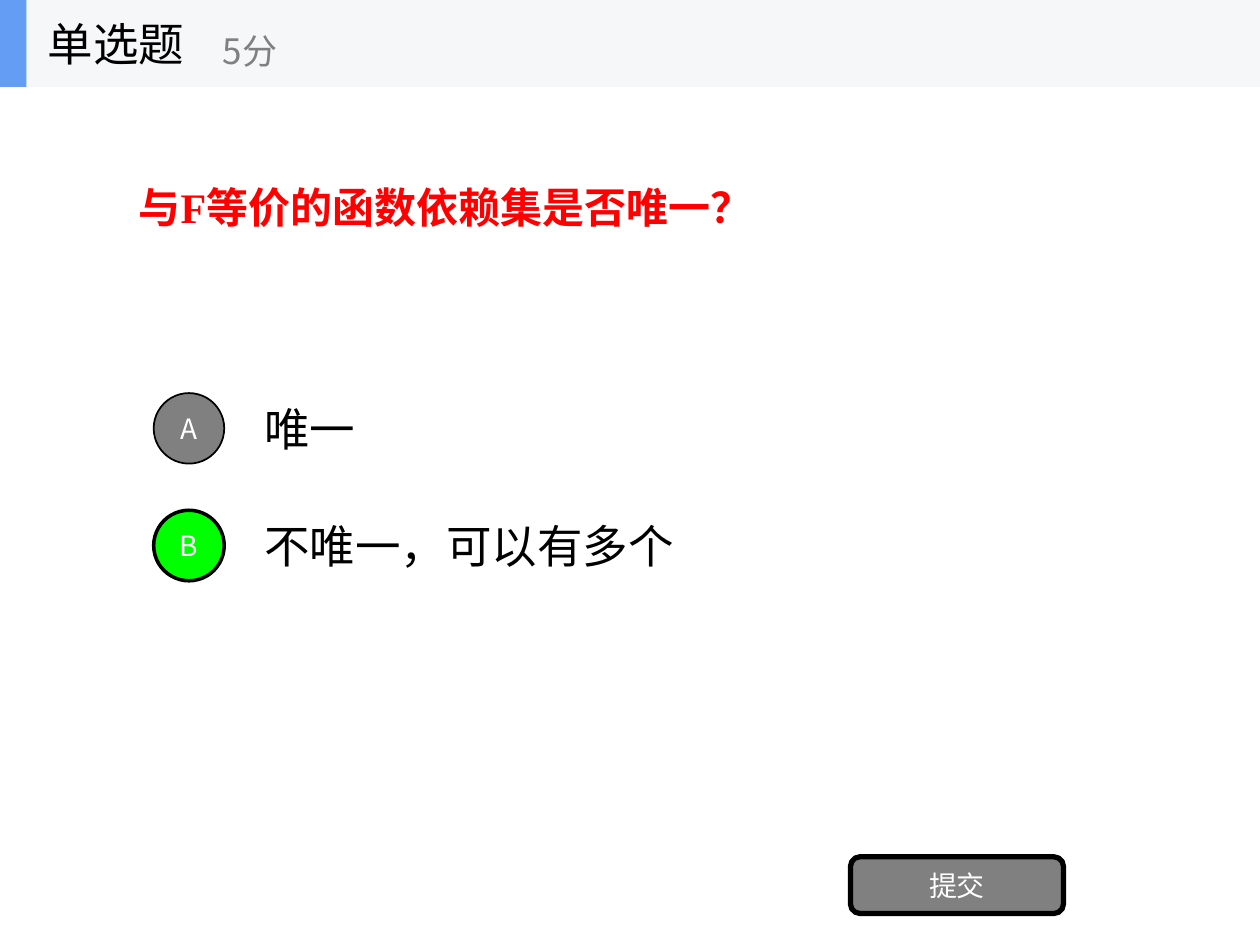
from lxml import etree
from pptx import Presentation
from pptx.dml.color import RGBColor
from pptx.enum import shapes, text
from pptx.oxml import ns
from pptx.util import Inches, Pt

SANS = "Noto Sans CJK SC"
BLACK, WHITE, GREY, GREEN, RED = "000000", "FFFFFF", "808080", "00FF00", "FF0000"
HEADER_FILL, ACCENT = "F6F7F8", "639EF4"

QUESTION = "与F等价的函数依赖集是否唯一？"
OPTIONS = [  # letter, answer, circle fill, circle line width
    ("A", "唯一", GREY, 1),
    ("B", "不唯一，可以有多个", GREEN, 2),
]
HEADER_BARS = [(10, HEADER_FILL), (0.21, ACCENT)]  # width, fill
HEADER_TEXTS = [  # wording, box, size, colour
    ("单选题", (0.28, 0, 2.08, 0.69), 26, BLACK),
    ("5分", (1.67, 0.12, 2.5, 0.56), 20, GREY),
]
HEADER_HEIGHT = 0.69
FIRST_TOP, PITCH, ROW_HEIGHT = 3.05, 0.93, 0.7
CIRCLE_LEFT, CIRCLE_SIZE = 1.22, 0.56


def rgb(value):
    return RGBColor.from_string(value)


def write(shape, wording, size, color, align=text.PP_ALIGN.LEFT, font=SANS, bold=False):
    frame = shape.text_frame
    frame.text = wording
    frame.word_wrap = True
    frame.auto_size = text.MSO_AUTO_SIZE.NONE
    frame.vertical_anchor = text.MSO_ANCHOR.MIDDLE
    para = frame.paragraphs[0]
    para.alignment = align
    span = para.runs[0]
    span.font.name, span.font.size, span.font.bold = font, Pt(size), bold
    span.font.color.rgb = rgb(color)
    east_asian = etree.SubElement(span.font._element, ns.qn("a:ea"))
    east_asian.set("typeface", SANS)


def add_text(parent, at, wording, size, color):
    box = parent.add_textbox(*map(Inches, at))
    write(box, wording, size, color)


def add_block(parent, kind, at, fill, line_width=0):
    block = parent.add_shape(kind, *map(Inches, at))
    block.shadow.inherit = False
    block.fill.solid()
    block.fill.fore_color.rgb = rgb(fill)
    if line_width:
        block.line.color.rgb = rgb(BLACK)
        block.line.width = Pt(line_width)
    else:
        block.line.fill.background()
    return block


def add_button(parent, kind, at, fill, line_width, label):
    button = add_block(parent, kind, at, fill, line_width)
    write(button, label, 16, WHITE, text.PP_ALIGN.CENTER)


def main():
    deck = Presentation()
    deck.slide_width, deck.slide_height = Inches(10), Inches(7.5)
    page = deck.slides.add_slide(deck.slide_layouts[5])
    kinds = shapes.MSO_SHAPE

    title = page.shapes.title
    title.left, title.top, title.width, title.height = map(Inches, (1, 0.47, 8, 2.34))
    write(title, QUESTION, 24, RED, font="Times New Roman", bold=True)

    for row, (letter, answer, fill, line_width) in enumerate(OPTIONS):
        top = FIRST_TOP + row * PITCH
        add_text(page.shapes, (2, top, 7, ROW_HEIGHT), answer, 26, BLACK)
        circle_top = top + (ROW_HEIGHT - CIRCLE_SIZE) / 2
        add_button(page.shapes, kinds.OVAL,
                   (CIRCLE_LEFT, circle_top, CIRCLE_SIZE, CIRCLE_SIZE),
                   fill, line_width, letter)

    add_button(page.shapes, kinds.ROUNDED_RECTANGLE, (6.75, 6.8, 1.69, 0.45),
               GREY, 3, "提交")

    header = page.shapes.add_group_shape().shapes
    for width, fill in HEADER_BARS:
        add_block(header, kinds.RECTANGLE, (0, 0, width, HEADER_HEIGHT), fill)
    for wording, at, size, color in HEADER_TEXTS:
        add_text(header, at, wording, size, color)

    deck.save("out.pptx")


if __name__ == "__main__":
    main()
